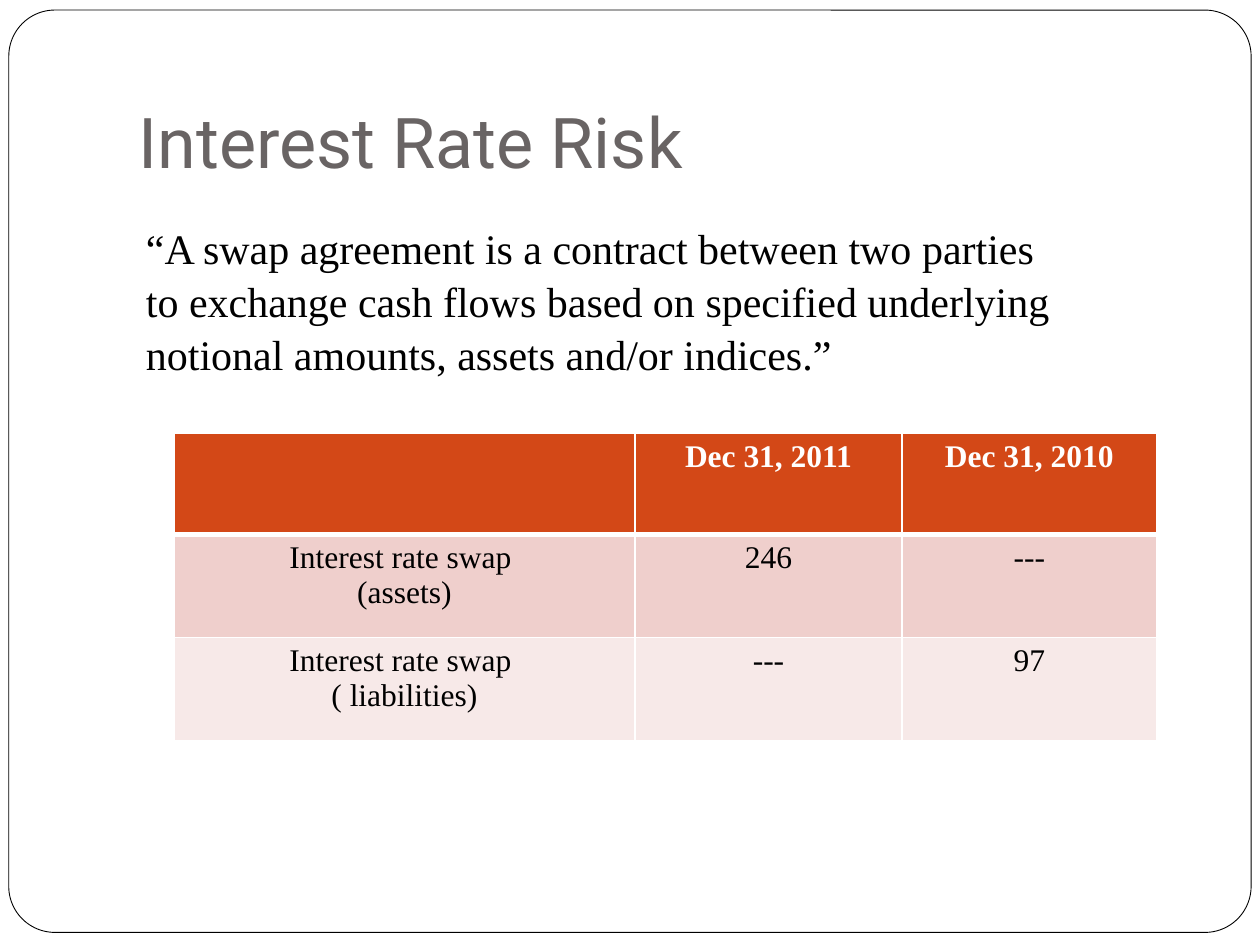
from pptx import Presentation
from pptx.dml.color import RGBColor
from pptx.enum.shapes import MSO_SHAPE as Shape
from pptx.enum.text import MSO_ANCHOR as Anchor, MSO_AUTO_SIZE as Fit, PP_ALIGN as Align
from pptx.oxml import parse_xml
from pptx.oxml.ns import nsdecls
from pptx.util import Inches, Pt

WHITE = RGBColor(0xFF, 0xFF, 0xFF)
BLACK = RGBColor(0, 0, 0)
GRAY = RGBColor(0x69, 0x64, 0x64)
RUST = RGBColor(0xD3, 0x48, 0x17)
ROSE = RGBColor(0xEF, 0xCF, 0xCC)
PINK = RGBColor(0xF7, 0xE9, 0xE8)
SERIF = "Times New Roman"


def style(par, color, **form):
    for key, val in form.items():
        setattr(par.font, key, val)
    par.font.color.rgb = color


def edge(cell, side, width):
    cell._tc.get_or_add_tcPr().append(parse_xml(
        f'<a:ln{side} {nsdecls("a")} w="{Pt(width)}"><a:solidFill>'
        f'<a:srgbClr val="{WHITE}"/></a:solidFill></a:ln{side}>'))


prs = Presentation()
prs.slide_width, prs.slide_height = Inches(10), Inches(7.5)
slide = prs.slides.add_slide(prs.slide_layouts[5])
shapes = slide.shapes

# Rounded frame, sent to the back
frame = shapes.add_shape(Shape.ROUNDED_RECTANGLE, Inches(0.07), Inches(0.08),
                         Inches(9.86), Inches(7.32))
frame.adjustments[0] = 0.05
frame.shadow.inherit = False
frame.fill.solid()
frame.fill.fore_color.rgb = WHITE
frame.line.color.rgb = BLACK
frame.line.width = Pt(0.5)
shapes._spTree.insert(2, frame._element)

# Title
title = shapes.title
title.left, title.top = Inches(1), Inches(0.3)
title.width, title.height = Inches(8.5), Inches(1.25)
text = title.text_frame
text.text = "Interest Rate Risk"
text.auto_size = Fit.NONE
text.vertical_anchor = Anchor.BOTTOM
text.margin_bottom = Inches(0.1)
text.paragraphs[0].alignment = Align.LEFT
style(text.paragraphs[0], GRAY, name="Roboto", size=Pt(40))

# Table
ROWS = [
    (RUST, WHITE, 0.8, ["", "Dec 31, 2011", "Dec 31, 2010"]),
    (ROSE, BLACK, 0.82, ["Interest rate swap \n(assets)", "246", "---"]),
    (PINK, BLACK, 0.82, ["Interest rate swap \n( liabilities)", "---", "97"]),
]
table = shapes.add_table(3, 3, Inches(1.38), Inches(3.44),
                         Inches(7.8), Inches(2.44)).table
for col, width in zip(table.columns, (3.66, 2.12, 2.02)):
    col.width = Inches(width)
for i, (fill, ink, height, words) in enumerate(ROWS):
    table.rows[i].height = Inches(height)
    for j, word in enumerate(words):
        cell = table.cell(i, j)
        for side in "LRTB":
            thick = (i, side) in ((0, "B"), (1, "T"))
            edge(cell, side, 3 if thick else 1)
        cell.fill.solid()
        cell.fill.fore_color.rgb = fill
        cell.text = word
        for par in cell.text_frame.paragraphs:
            par.alignment = Align.CENTER
            style(par, ink, name=SERIF, size=Pt(18), bold=i == 0)

# Quotation
quote = shapes.add_textbox(Inches(1.06), Inches(1.7), Inches(7.56), Inches(1.72))
text = quote.text_frame
text.word_wrap = True
text.text = ("“A swap agreement is a contract between two parties to exchange "
             "cash flows based on specified underlying notional amounts, "
             "assets and/or indices.”")
text.paragraphs[0].line_spacing = 1.05
style(text.paragraphs[0], BLACK, name=SERIF, size=Pt(24))

prs.save("out.pptx")
